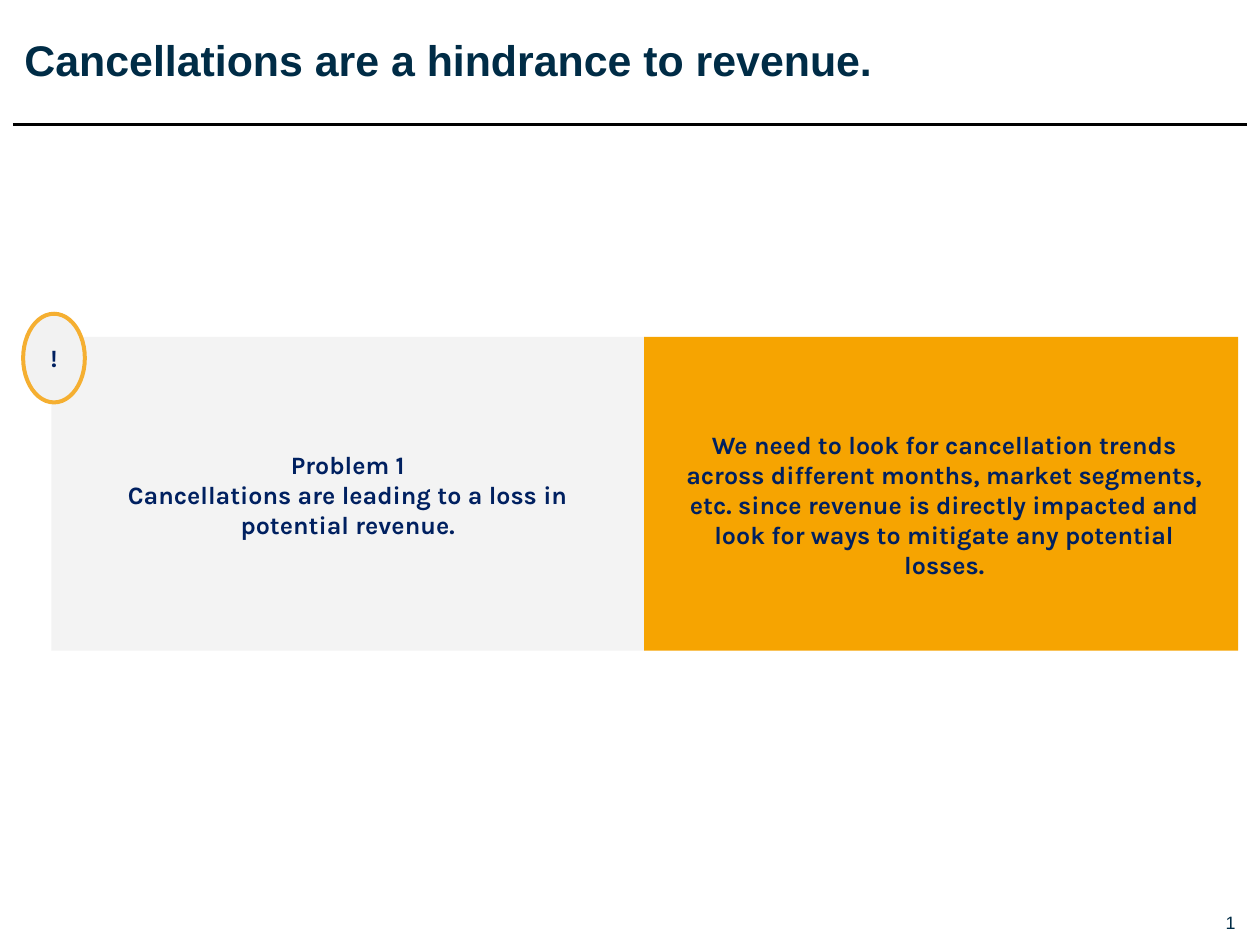
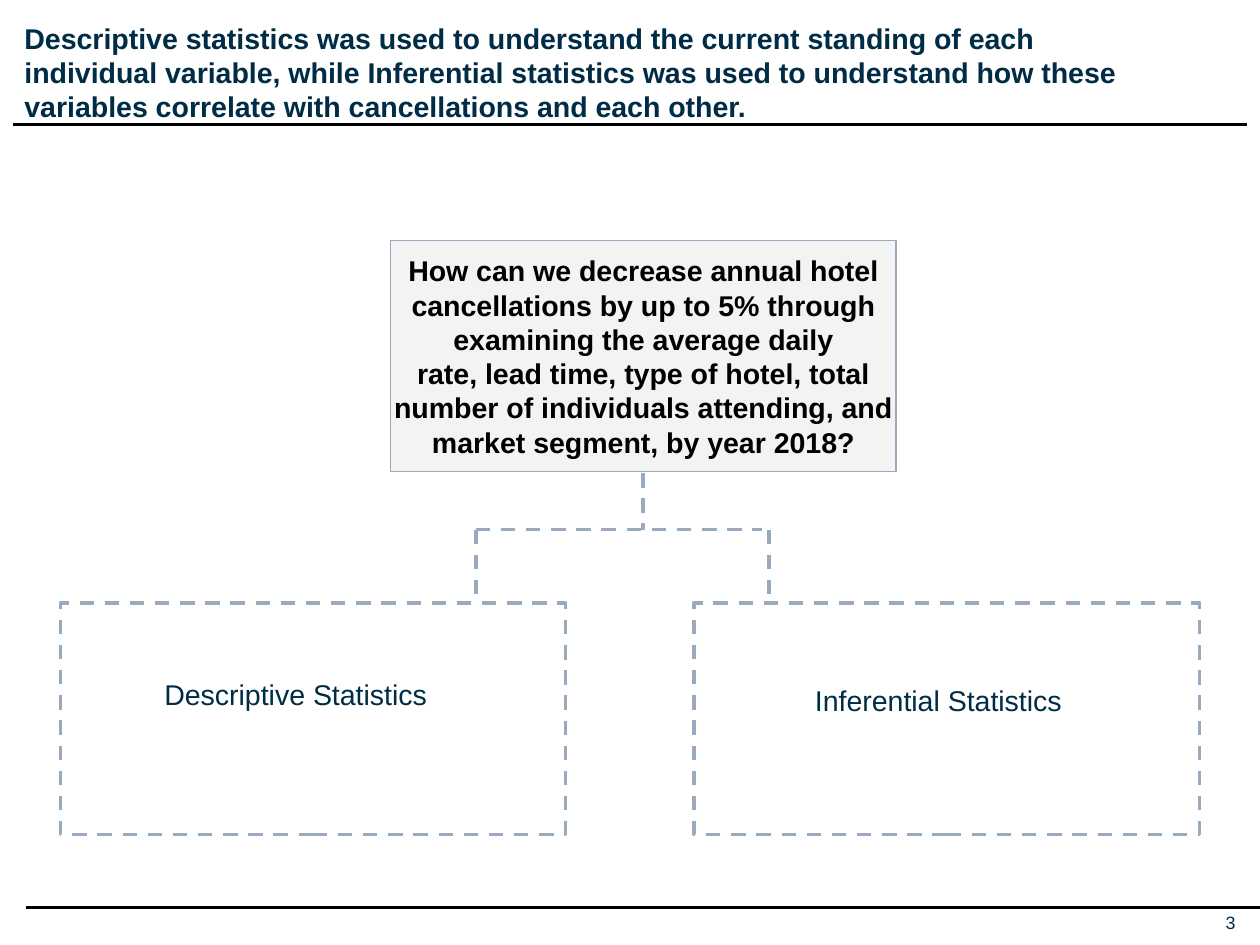
from lxml import etree
from pptx import Presentation
from pptx.dml.color import RGBColor
from pptx.enum.dml import MSO_LINE
from pptx.enum.shapes import MSO_CONNECTOR, MSO_SHAPE
from pptx.enum.text import MSO_ANCHOR, PP_ALIGN
from pptx.oxml.ns import qn
from pptx.util import Inches, Pt

RECTANGLE, OVAL = MSO_SHAPE.RECTANGLE, MSO_SHAPE.OVAL
STRAIGHT = MSO_CONNECTOR.STRAIGHT
DASH = MSO_LINE.DASH
TOP, MIDDLE = MSO_ANCHOR.TOP, MSO_ANCHOR.MIDDLE
LEFT, CENTER, RIGHT = PP_ALIGN.LEFT, PP_ALIGN.CENTER, PP_ALIGN.RIGHT

BLACK = RGBColor(0x00, 0x00, 0x00)
INK = RGBColor(0x00, 0x2C, 0x46)
NAVY = RGBColor(0x00, 0x20, 0x60)
PALE = RGBColor(0xF2, 0xF2, 0xF2)
ORANGE = RGBColor(0xF6, 0xA4, 0x01)
AMBER = RGBColor(0xF5, 0xAF, 0x31)
STEEL = RGBColor(0x99, 0xAA, 0xBE)
HARD_SPACE = chr(160)


def write(box, lines, size, color=INK, font="Arial", bold=False,
          align=LEFT, anchor=TOP, inset=(0, 0)):
    frame = box.text_frame
    frame.word_wrap = True
    frame.vertical_anchor = anchor
    frame.margin_left = frame.margin_right = Inches(inset[0])
    frame.margin_top = frame.margin_bottom = Inches(inset[1])
    for index, line in enumerate(lines):
        para = frame.add_paragraph() if index else frame.paragraphs[0]
        para.alignment = align
        span = para.add_run()
        span.text = line
        span.font.name = font
        span.font.size = Pt(size)
        span.font.bold = bold
        span.font.color.rgb = color


def draw(page, kind, area, fill=None, opacity=100, line=None, weight=2, dash=None):
    shape = page.shapes.add_shape(kind, *map(Inches, area))
    shape.shadow.inherit = False
    if fill is None:
        shape.fill.background()
    else:
        shape.fill.solid()
        shape.fill.fore_color.rgb = fill
        if opacity < 100:
            tint = shape.fill._xPr.find(qn("a:solidFill"))[0]
            etree.SubElement(tint, qn("a:alpha"), val=str(opacity * 1000))
    if line is None:
        shape.line.fill.background()
    else:
        shape.line.color.rgb = line
        shape.line.width = Pt(weight)
        shape.line.dash_style = dash
    return shape


deck = Presentation()
deck.slide_width, deck.slide_height = Inches(9.8), Inches(7.35)

headings = [
    ("1", "Cancellations are a hindrance to revenue.", 24, 0.26, 0.4),
    ("3", "Descriptive statistics was used to understand the current standing of each "
          f"individual{HARD_SPACE}variable, while Inferential statistics was used to "
          f"understand how these variables{HARD_SPACE}correlate with cancellations and "
          "each other.", 16, 0.16, 0.81),
]
pages = []
for number, title, size, top, height in headings:
    page = deck.slides.add_slide(deck.slide_layouts[6])
    pages.append(page)
    box = page.shapes.add_textbox(Inches(0.19), Inches(top), Inches(9.43), Inches(height))
    write(box, [title], size, bold=True)
    box = page.shapes.add_textbox(Inches(9.44), Inches(7.09), Inches(0.17), Inches(0.17))
    write(box, [number], 10, align=RIGHT, anchor=MIDDLE)
problem, method = pages

panels = [
    (0.4, PALE, 85, 0.49, 3.45, 0.88,
     ["Problem 1", "Cancellations are leading to a loss in potential revenue."]),
    (5.01, ORANGE, 100, 5.13, 3.29, 1.14,
     ["We need to look for cancellation trends across different months, market segments, "
      "etc. since revenue is directly impacted and look for ways to mitigate any potential "
      "losses."]),
]
for left, fill, opacity, text_left, text_top, text_height, lines in panels:
    draw(problem, RECTANGLE, (left, 2.62, 4.62, 2.44), fill, opacity)
    box = problem.shapes.add_textbox(
        Inches(text_left), Inches(text_top), Inches(4.43), Inches(text_height))
    write(box, lines, 14, NAVY, "Karla", True, CENTER, inset=(0.1, 0.05))
badge = draw(problem, OVAL, (0.18, 2.44, 0.48, 0.69), PALE, line=AMBER, weight=2.25)
write(badge, ["!"], 13.7, NAVY, "Karla", True, CENTER, MIDDLE, (0.1, 0.05))

question = draw(method, RECTANGLE, (3.04, 1.87, 3.93, 1.8), PALE, 85, STEEL, 0.75)
write(question,
      ["How can we decrease annual hotel cancellations by up to 5% through examining the "
       f"average daily rate,{HARD_SPACE}lead time, type of hotel, total number of "
       "individuals attending, and market segment, by year 2018?"],
      16, BLACK, bold=True, align=CENTER, anchor=MIDDLE)

branches = [
    (0.47, 1.18, 5.22, "Descriptive Statistics"),
    (5.4, 6.24, 5.26, "Inferential Statistics"),
]
for left, label_left, label_top, label in branches:
    draw(method, RECTANGLE, (left, 4.69, 3.93, 1.8), line=STEEL, dash=DASH)
    box = method.shapes.add_textbox(
        Inches(label_left), Inches(label_top), Inches(3.37), Inches(0.37))
    write(box, [label], 16, inset=(0.1, 0.05))

rules = [(page, (0.1, 0.97, 9.7, 0.97), BLACK, None) for page in pages]
rules.append((method, (0.2, 7.06, 9.8, 7.06), BLACK, None))
links = [
    (3.7, 4.12, 3.7, 4.69),
    (5.98, 4.12, 5.98, 4.69),
    (3.7, 4.12, 5.93, 4.12),
    (5, 3.68, 5, 4.12),
]
rules += [(method, ends, STEEL, DASH) for ends in links]
for page, ends, color, dash in rules:
    rule = page.shapes.add_connector(STRAIGHT, *map(Inches, ends))
    rule.line.color.rgb = color
    rule.line.width = Pt(2)
    rule.line.dash_style = dash
    etree.SubElement(rule._element.spPr, qn("a:effectLst"))

deck.save("out.pptx")
